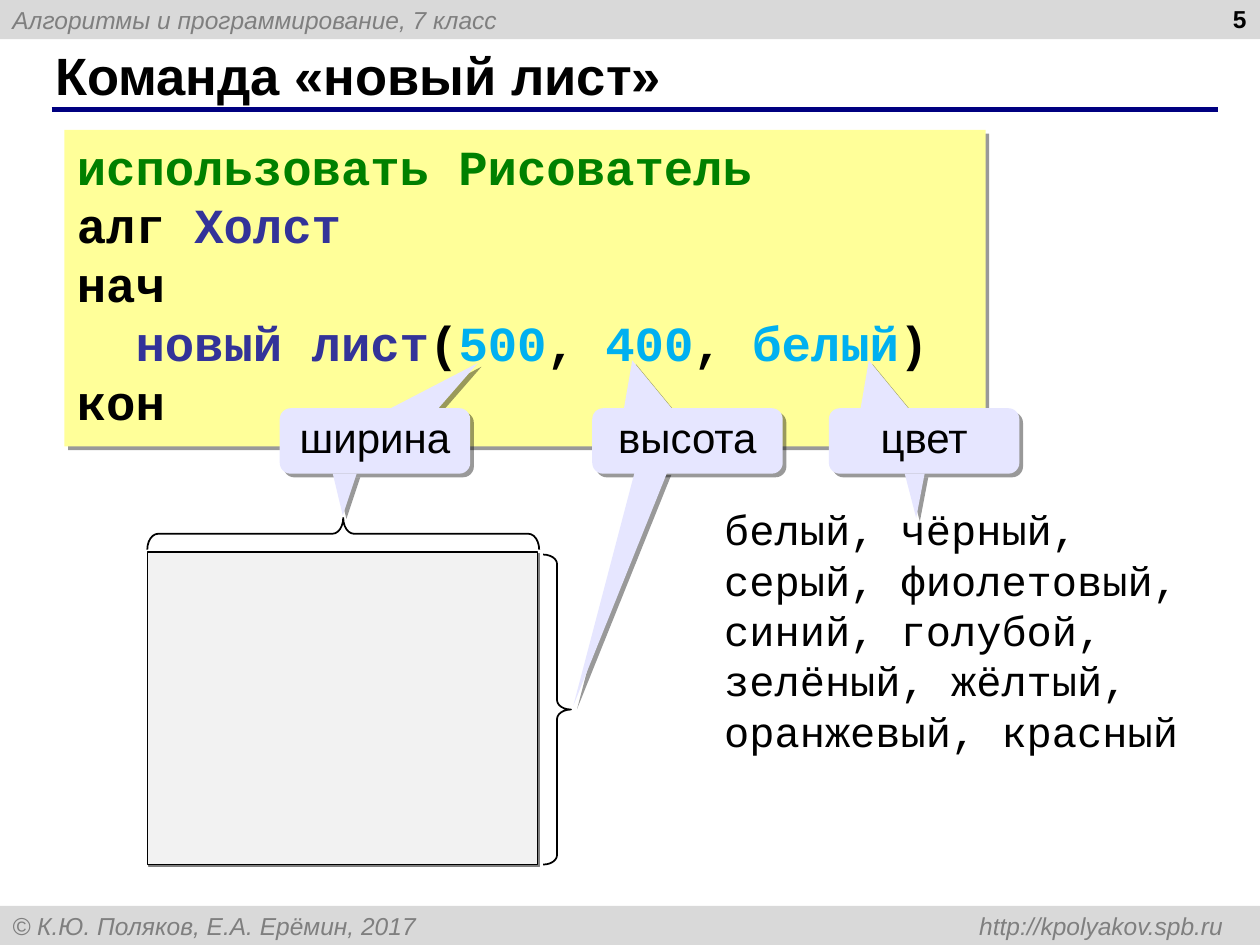
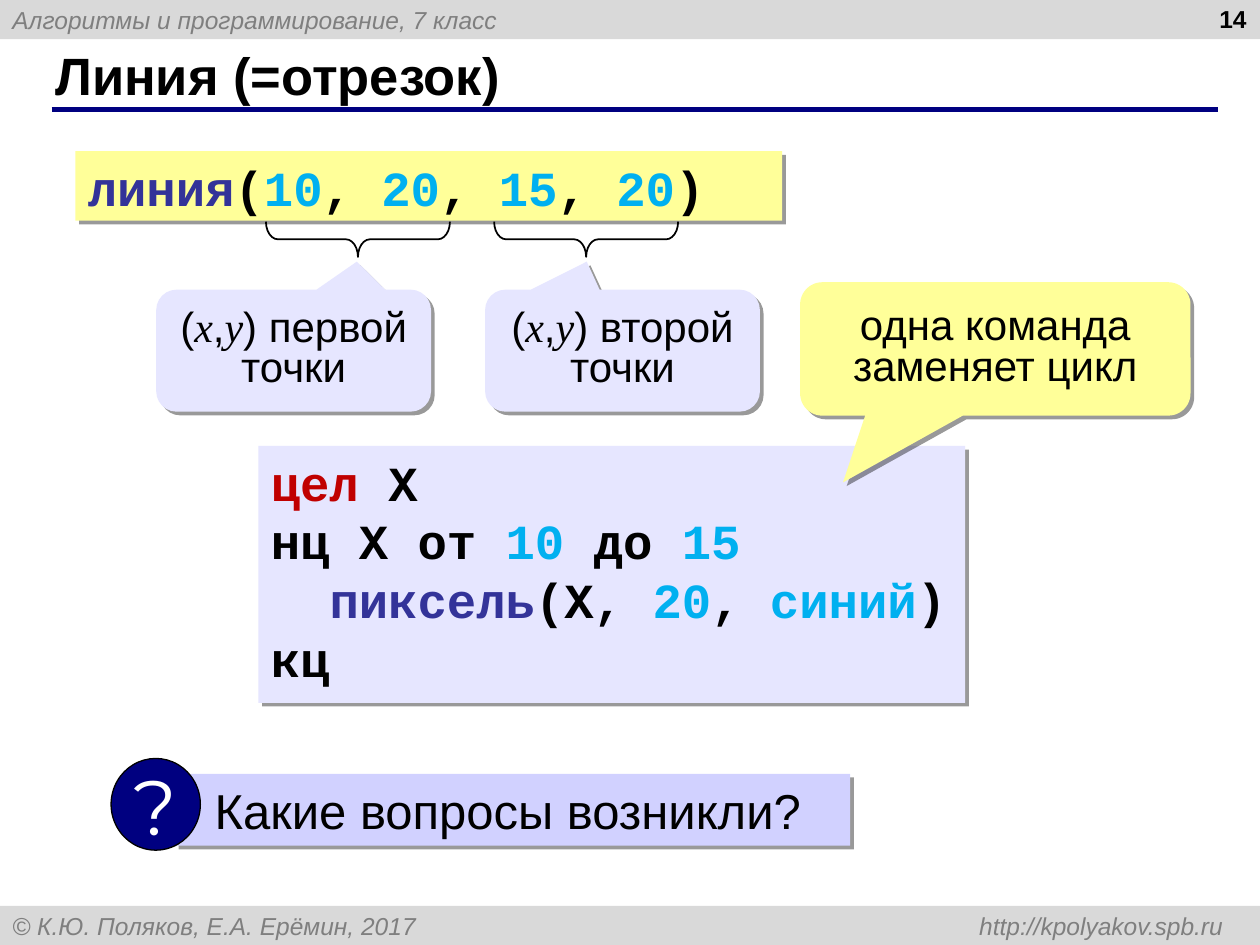
from lxml import etree
from pptx import Presentation
from pptx.dml.color import RGBColor
from pptx.enum import shapes, text
from pptx.oxml import ns
from pptx.util import Cm, Pt

BLACK = RGBColor(0x00, 0x00, 0x00)
WHITE = RGBColor(0xFF, 0xFF, 0xFF)
BAND = RGBColor(0xD9, 0xD9, 0xD9)
GRAY = RGBColor(0x7F, 0x7F, 0x7F)
PALE = RGBColor(0xF2, 0xF2, 0xF2)
NAVY = RGBColor(0x00, 0x00, 0x80)
YELLOW = RGBColor(0xFF, 0xFF, 0x99)
LILAC = RGBColor(0xE6, 0xE6, 0xFF)
VIOLET = RGBColor(0xD1, 0xD1, 0xFF)
GREEN = RGBColor(0x00, 0x80, 0x00)
BLUE = RGBColor(0x33, 0x33, 0x99)
CYAN = RGBColor(0x00, 0xB0, 0xF0)
RED = RGBColor(0xC0, 0x00, 0x00)

SANS, MONO, SERIF = "Arial", "Courier New", "Times New Roman"
SOFT = ("000000", 40, 3)
HARD = ("808080", 100, 1.4)

KIND = shapes.MSO_SHAPE
BUBBLE = KIND.ROUNDED_RECTANGULAR_CALLOUT
LEFT, MID, RIGHT = text.PP_ALIGN.LEFT, text.PP_ALIGN.CENTER, text.PP_ALIGN.RIGHT
TOP, CENTER = text.MSO_ANCHOR.TOP, text.MSO_ANCHOR.MIDDLE


def paint(shape, fill=None, line=None, shade=None):
    """Set the fill, outline width and shadow (colour, opacity, distance)."""
    shape.shadow.inherit = False
    if fill is None:
        shape.fill.background()
    else:
        shape.fill.solid()
        shape.fill.fore_color.rgb = fill
    if line is None:
        shape.line.fill.background()
    else:
        shape.line.color.rgb = BLACK
        shape.line.width = Pt(line)
    if shade:
        hue, alpha, dist = shade
        effects = shape._element.spPr.find(ns.qn("a:effectLst"))
        outer = etree.SubElement(effects, ns.qn("a:outerShdw"), dist=str(Pt(dist)),
                                 dir="2700000", algn="ctr", rotWithShape="0")
        color = etree.SubElement(outer, ns.qn("a:srgbClr"), val=hue)
        etree.SubElement(color, ns.qn("a:alpha"), val=str(alpha * 1000))
    return shape


def write(shape, lines, size, font=SANS, bold=False, italic=False,
          align=LEFT, anchor=TOP, gap=None):
    """Fill a shape with lines, each a list of (words, colour) pieces."""
    frame = shape.text_frame
    frame.word_wrap = True
    frame.vertical_anchor = anchor
    for n, line in enumerate(lines):
        para = frame.add_paragraph() if n else frame.paragraphs[0]
        para.alignment = align
        para.line_spacing = gap
        for words, color in line:
            run = para.add_run()
            run.text = words
            run.font.name, run.font.size = font, Pt(size)
            run.font.bold, run.font.italic = bold, italic
            run.font.color.rgb = color
    return frame


deck = Presentation()
deck.slide_width, deck.slide_height = Cm(25.4), Cm(19.05)

# Shared frame: title, bands, rule and page number
pages = []
for name, page in (("Команда «новый лист»", "5"), ("Линия (=отрезок)", "14")):
    slide = deck.slides.add_slide(deck.slide_layouts[5])
    pages.append(slide.shapes)
    title = slide.shapes.title
    title.left, title.top, title.width, title.height = map(Cm, (0.86, 0.84, 23.27, 1.32))
    write(title, [[(name, BLACK)]], 30, bold=True, anchor=CENTER)
    title.text_frame.auto_size = text.MSO_AUTO_SIZE.NONE

    for y, words in ((0, "Алгоритмы и программирование, 7 класс"),
                     (18.26, "© К.Ю. Поляков, Е.А. Ерёмин, 2017\thttp://kpolyakov.spb.ru")):
        band = slide.shapes.add_shape(KIND.RECTANGLE, 0, Cm(y), Cm(25.4), Cm(0.79))
        paint(band, BAND)
        frame = write(band, [[(words, GRAY)]], 14, italic=True, anchor=CENTER)
        if "\t" in words:
            props = frame.paragraphs[0]._p.get_or_add_pPr()
            tabs = etree.SubElement(props, ns.qn("a:tabLst"))
            etree.SubElement(tabs, ns.qn("a:tab"), pos=str(Cm(24.41)), algn="r")

    rule = slide.shapes.add_connector(shapes.MSO_CONNECTOR.STRAIGHT,
                                      Cm(1.04), Cm(2.21), Cm(24.56), Cm(2.21))
    rule.line.color.rgb, rule.line.width = NAVY, Pt(3)
    etree.SubElement(rule._element.spPr, ns.qn("a:effectLst"))

    number = slide.shapes.add_textbox(*map(Cm, (19.46, -0.05, 5.92, 1.32)))
    write(number, [[(page, BLACK)]], 14, bold=True, align=RIGHT)

sheet, strip = pages

# Code panels of both slides
panels = (
    (sheet, (1.3, 2.62, 18.57, 6.38), YELLOW, [
        [("использовать Рисователь", GREEN)],
        [("алг ", BLACK), ("Холст", BLUE)],
        [("нач", BLACK)],
        [("  ", BLACK), ("новый лист", BLUE), ("(", BLACK), ("500", CYAN), (", ", BLACK),
         ("400", CYAN), (", ", BLACK), ("белый", CYAN), (")", BLACK)],
        [("кон", BLACK)]]),
    (strip, (1.52, 3.05, 14.25, 1.4), YELLOW, [
        [("линия", BLUE), ("(", BLACK), ("10", CYAN), (", ", BLACK), ("20", CYAN),
         (", ", BLACK), ("15", CYAN), (", ", BLACK), ("20", CYAN), (")", BLACK)]]),
    (strip, (5.21, 8.99, 14.25, 5.18), LILAC, [
        [("цел ", RED), ("X", BLACK)],
        [("нц X от ", BLACK), ("10 ", CYAN), ("до ", BLACK), ("15", CYAN)],
        [("  ", BLACK), ("пиксель", BLUE), ("(X, ", BLACK), ("20", CYAN), (", ", BLACK),
         ("синий", CYAN), (")", BLACK)],
        [("кц", BLACK)]]),
)
for page, spot, fill, code in panels:
    panel = paint(page.add_shape(KIND.RECTANGLE, *map(Cm, spot)), fill, shade=SOFT)
    write(panel, code, 28, MONO, bold=True)

# Drawing sheet
canvas = sheet.add_shape(KIND.RECTANGLE, *map(Cm, (2.97, 11.13, 7.87, 6.3)))
paint(canvas, PALE, 0.75, HARD)

# Braces
for page, spot, turn in (
        (sheet, (6.6, 6.81, 0.64, 7.9), 270),
        (sheet, (10.95, 11.18, 0.56, 6.25), 0),
        (strip, (6.86, 2.97, 0.71, 3.71), 90),
        (strip, (11.46, 2.97, 0.71, 3.71), 90)):
    brace = paint(page.add_shape(KIND.RIGHT_BRACE, *map(Cm, spot)), line=1)
    brace.rotation = turn
    brace.adjustments[0] = 0.34

# Callouts
first = [("(", BLACK), ("x", BLACK), (",", BLACK), ("y", BLACK), (") первой точки", BLACK)]
second = first[:-1] + [(") второй точки", BLACK)]
for page, spot, tip, fill, words in (
        (sheet, (5.64, 8.23, 3.84, 1.32), (0.54, -1.19), LILAC, [("ширина", BLACK)]),
        (sheet, (11.94, 8.23, 3.84, 1.32), (-0.29, -1.23), LILAC, [("высота", BLACK)]),
        (sheet, (16.71, 8.23, 3.84, 1.32), (-0.29, -1.23), LILAC, [("цвет", BLACK)]),
        (strip, (3.15, 5.84, 5.54, 2.46), (0.23, -0.73), LILAC, first),
        (strip, (9.78, 5.84, 5.54, 2.46), (-0.13, -0.73), LILAC, second),
        (strip, (16.13, 5.69, 7.87, 2.69), (-0.39, 1), YELLOW,
         [("одна команда заменяет цикл", BLACK)])):
    bubble = paint(page.add_shape(BUBBLE, *map(Cm, spot)), fill, shade=SOFT)
    bubble.adjustments[0], bubble.adjustments[1] = tip
    frame = write(bubble, [words], 24, align=MID, anchor=CENTER, gap=0.8)
    for run in frame.paragraphs[0].runs:
        if run.text in ("x", "y"):
            run.font.name, run.font.italic = SERIF, True

# Lower tails of the callouts: left, tip, right
for start, *rest in (
        ((6.71, 9.55), (6.91, 10.39), (7.19, 9.55)),
        ((12.8, 9.5), (11.56, 14.22), (13.46, 9.5)),
        ((18.24, 9.55), (18.47, 10.44), (18.64, 9.55))):
    tail = sheet.build_freeform(*map(Cm, start))
    tail.add_line_segments([(Cm(x), Cm(y)) for x, y in rest], close=True)
    paint(tail.convert_to_shape(), LILAC, shade=SOFT)

# Colour names
names = sheet.add_textbox(*map(Cm, (14.35, 10.03, 9.93, 5.33)))
write(names, [[("белый, чёрный, серый, фиолетовый, синий, голубой, "
                "зелёный, жёлтый, оранжевый, красный", BLACK)]], 24, MONO)

# Question bar
bar = strip.add_shape(KIND.RECTANGLE, *map(Cm, (3.53, 15.6, 13.61, 1.45)))
paint(bar, VIOLET, shade=SOFT)
write(bar, [[("Какие вопросы возникли?", BLACK)]], 28).margin_left = Cm(0.8)

badge = strip.add_shape(KIND.OVAL, *map(Cm, (2.24, 15.29, 1.8, 1.85)))
paint(badge, NAVY, 0.75)
mark = write(badge, [[("?", WHITE)]], 44, "Montserrat", align=MID, anchor=CENTER)
mark.word_wrap = False

deck.save("out.pptx")
